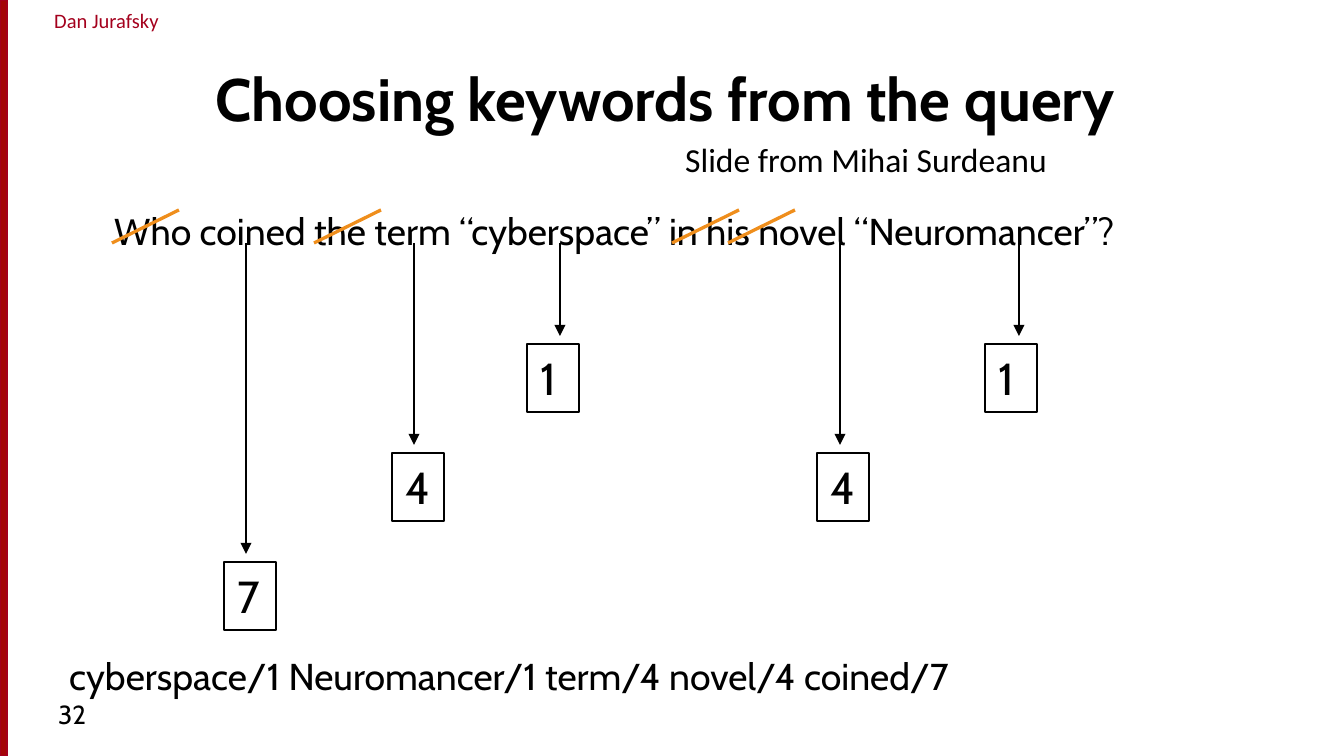
"""Build the slide on choosing keywords from a query."""
from dataclasses import dataclass

from lxml import etree
from pptx import Presentation
from pptx.dml.color import RGBColor
from pptx.enum.shapes import MSO_CONNECTOR, MSO_SHAPE
from pptx.enum.text import MSO_ANCHOR, MSO_AUTO_SIZE, PP_ALIGN
from pptx.oxml.ns import qn
from pptx.util import Pt

STRAIGHT = MSO_CONNECTOR.STRAIGHT
RECTANGLE = MSO_SHAPE.RECTANGLE
TOP, BOTTOM = MSO_ANCHOR.TOP, MSO_ANCHOR.BOTTOM
FIXED, FIT = MSO_AUTO_SIZE.NONE, MSO_AUTO_SIZE.SHAPE_TO_FIT_TEXT
LEFT, CENTER = PP_ALIGN.LEFT, PP_ALIGN.CENTER
PX = 9144000 / 1344


@dataclass(frozen=True)
class Theme:
    ink: RGBColor = RGBColor(0x00, 0x00, 0x00)
    author: RGBColor = RGBColor(0xA4, 0x00, 0x1D)
    stripe: RGBColor = RGBColor(0xA4, 0x05, 0x08)
    strike: RGBColor = RGBColor(0xEF, 0x8E, 0x1C)
    main_font: str = "Cabin"
    side_font: str = "Calibri"
    title: int = 32
    rank: int = 24
    query: int = 20
    credit: int = 18
    number: int = 14
    author_size: int = 11


theme = Theme()


def write(box, text, size, font=theme.main_font, color=theme.ink, bold=False,
          align=LEFT, anchor=TOP, wrap=False):
    frame = box.text_frame
    frame.word_wrap = wrap
    frame.auto_size = FIXED if wrap else FIT
    frame.vertical_anchor = anchor
    para = frame.paragraphs[0]
    para.alignment = align
    span = para.add_run()
    span.text = text
    span.font.name = font
    span.font.size = Pt(size)
    span.font.bold = bold
    span.font.color.rgb = color


def draw_line(shapes, ends, color, width):
    line = shapes.add_connector(STRAIGHT, *[round(end * PX) for end in ends])
    line.line.color.rgb = color
    line.line.width = Pt(width)
    etree.SubElement(line._element.spPr, qn("a:effectLst"))
    return line


deck = Presentation()
deck.slide_width = round(1344 * PX)
deck.slide_height = round(756 * PX)
page = deck.slides.add_slide(deck.slide_layouts[5])
shapes = page.shapes

stripe = shapes.add_shape(RECTANGLE, 0, 0, round(7 * PX), deck.slide_height)
stripe.shadow.inherit = False
stripe.fill.solid()
stripe.fill.fore_color.rgb = theme.stripe
stripe.line.color.rgb = theme.author
stripe.line.width = Pt(0.75)

title = shapes.title
title.left, title.top, title.width, title.height = [
    round(length * PX) for length in (202, 31, 1098, 109)]
write(title, "Choosing keywords from the query", theme.title, bold=True,
      anchor=BOTTOM, wrap=True)

author = shapes.add_textbox(*[round(length * PX) for length in (11, 1, 191, 39)])
author.text_frame.margin_left = author.text_frame.margin_right = 0
write(author, "Dan Jurafsky", theme.author_size, theme.side_font, theme.author,
      align=CENTER, wrap=True)

number = shapes.add_textbox(*[round(length * PX) for length in (45, 692, 291, 51)])
write(number, "32", theme.number, wrap=True)

labels = [
    ((101, 202, 1087, 59), theme.query, theme.main_font,
     "Who coined the term “cyberspace” in his novel “Neuromancer”?"),
    ((56, 647, 923, 59), theme.query, theme.main_font,
     "cyberspace/1 Neuromancer/1 term/4 novel/4 coined/7"),
    ((672, 132, 394, 54), theme.credit, theme.side_font,
     "Slide from Mihai Surdeanu"),
]
for place, size, font, text in labels:
    label = shapes.add_textbox(*[round(length * PX) for length in place])
    write(label, text, size, font)

query_base = 243
for left in (112, 314, 672, 728):
    draw_line(shapes, (left, query_base, left + 67, query_base - 33),
              theme.strike, 1.75)

keywords = [
    (560, 527, 0, "1"),
    (1019, 985, 0, "1"),
    (414, 392, 1, "4"),
    (840, 817, 1, "4"),
    (246, 224, 2, "7"),
]
for arrow_x, left, level, rank in keywords:
    top = 344 + 109 * level
    arrow = draw_line(shapes, (arrow_x, query_base, arrow_x, top - 8),
                      theme.ink, 0.75)
    etree.SubElement(arrow.line._get_or_add_ln(), qn("a:tailEnd"), type="triangle")
    box = shapes.add_shape(
        RECTANGLE, *[round(length * PX) for length in (left, top, 52, 68)])
    box.shadow.inherit = False
    box.fill.background()
    box.line.color.rgb = theme.ink
    box.line.width = Pt(0.75)
    write(box, rank, theme.rank)

deck.save("out.pptx")
